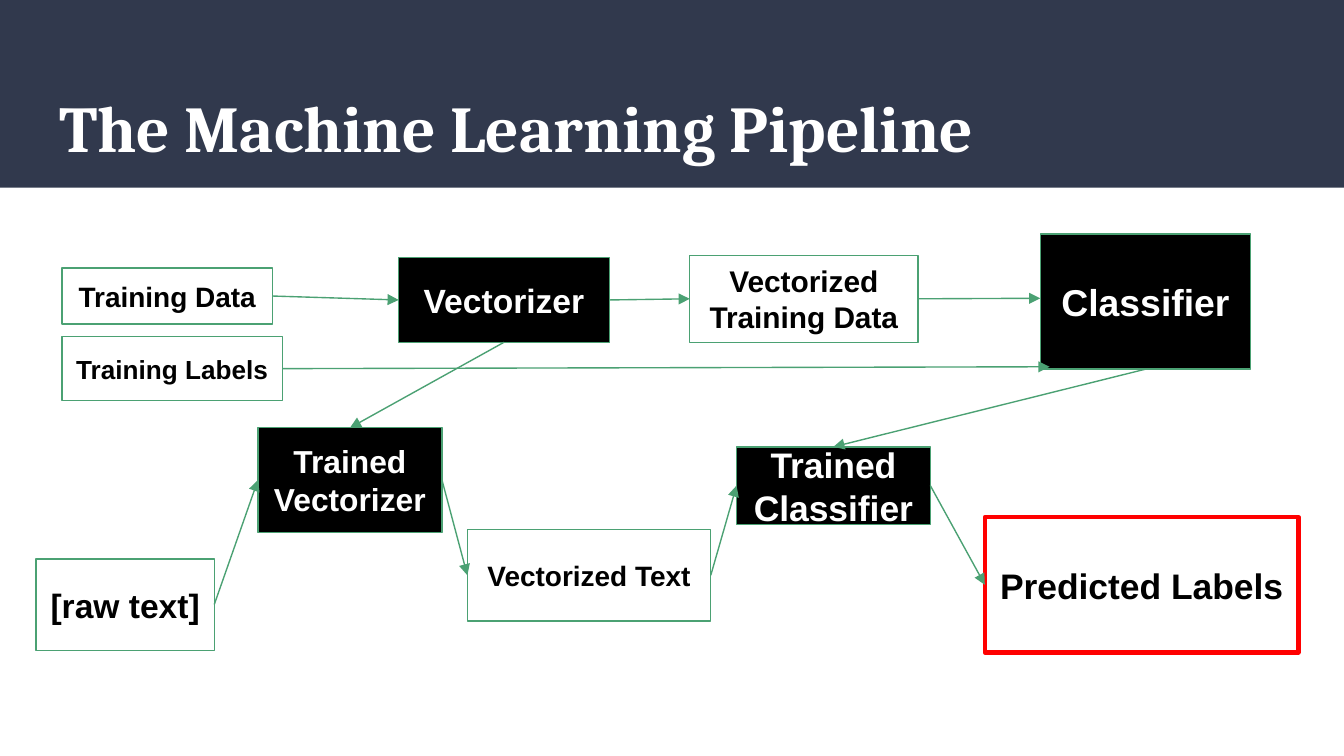
from pptx import Presentation
from pptx.dml.color import RGBColor
from pptx.enum.shapes import MSO_CONNECTOR, MSO_SHAPE
from pptx.enum.text import MSO_ANCHOR, MSO_AUTO_SIZE, PP_ALIGN
from pptx.oxml.ns import qn
from pptx.util import Pt
from lxml import etree

NAVY = RGBColor(0x31, 0x39, 0x4D)
GREEN = RGBColor(0x4B, 0xA1, 0x73)
RED = RGBColor(0xFF, 0x00, 0x00)
BLACK = RGBColor(0x00, 0x00, 0x00)
WHITE = RGBColor(0xFF, 0xFF, 0xFF)

TOP, LEFT, BOTTOM, RIGHT = range(4)


class PipelineSlide:
    box_font = "Arial"
    title_font = "Cambria"
    inset = Pt(7.2)

    def __init__(self, slide):
        self.slide = slide

    def format_text(self, frame, text, font, size, color, align, anchor):
        frame.text = text
        layout = dict(margin_left=self.inset, margin_right=self.inset,
                      margin_top=self.inset, margin_bottom=self.inset,
                      word_wrap=True, auto_size=MSO_AUTO_SIZE.NONE,
                      vertical_anchor=anchor)
        for name, value in layout.items():
            setattr(frame, name, value)
        paragraph = frame.paragraphs[0]
        paragraph.alignment = align
        for name, value in dict(name=font, size=Pt(size), bold=True).items():
            setattr(paragraph.font, name, value)
        paragraph.font.color.rgb = color

    def band(self, width, height):
        """Put the heading band behind everything else."""
        band = self.slide.shapes.add_shape(
            MSO_SHAPE.RECTANGLE, 0, 0, Pt(width), Pt(height))
        band.shadow.inherit = False
        band.fill.solid()
        band.fill.fore_color.rgb = NAVY
        band.line.fill.background()
        self.slide.shapes._spTree.insert(2, band._element)

    def title(self, text, left, top, width, height):
        title = self.slide.shapes.title
        place = dict(left=left, top=top, width=width, height=height)
        for name, value in place.items():
            setattr(title, name, Pt(value))
        self.format_text(title.text_frame, text, self.title_font, 35, WHITE,
                         PP_ALIGN.LEFT, MSO_ANCHOR.TOP)

    def box(self, text, size, left, top, width, height,
            filled=False, line=GREEN, weight=0.75):
        box = self.slide.shapes.add_shape(
            MSO_SHAPE.RECTANGLE, Pt(left), Pt(top), Pt(width), Pt(height))
        box.shadow.inherit = False
        if filled:
            box.fill.solid()
            box.fill.fore_color.rgb = BLACK
        else:
            box.fill.background()
        box.line.color.rgb = line
        box.line.width = Pt(weight)
        self.format_text(box.text_frame, text, self.box_font, size,
                         WHITE if filled else BLACK,
                         PP_ALIGN.CENTER, MSO_ANCHOR.MIDDLE)
        return box

    def arrow(self, source, source_side, target=None, target_side=None,
              end=(0, 0)):
        """Join two box sides, or run from a side to a free end point."""
        arrow = self.slide.shapes.add_connector(
            MSO_CONNECTOR.STRAIGHT, 0, 0, Pt(end[0]), Pt(end[1]))
        arrow.begin_connect(source, source_side)
        if target is not None:
            arrow.end_connect(target, target_side)
        arrow.line.color.rgb = GREEN
        arrow.line.width = Pt(0.75)
        etree.SubElement(arrow.line._get_or_add_ln(), qn("a:tailEnd"),
                         type="triangle")
        etree.SubElement(arrow._element.spPr, qn("a:effectLst"))


def main():
    deck = Presentation()
    deck.slide_width, deck.slide_height = Pt(720), Pt(405)
    page = PipelineSlide(deck.slides.add_slide(deck.slide_layouts[5]))

    page.band(720, 100.5)
    page.title("The Machine Learning Pipeline", 24.5, 39.6, 671, 49)

    training_data = page.box("Training Data", 15, 33.2, 143.5, 113, 30.2)
    training_labels = page.box("Training Labels", 14, 33.2, 180.3, 118.2, 34.4)
    vectorizer = page.box("Vectorizer", 18, 213.6, 138, 112.8, 45.4, filled=True)
    vectorized_data = page.box("Vectorized Training Data", 16,
                               369.5, 136.8, 122.4, 46.6)
    classifier = page.box("Classifier", 20, 557.3, 125.3, 112.8, 72.5, filled=True)
    raw_text = page.box("[raw text]", 18, 19.4, 299.4, 95.4, 49)
    trained_vectorizer = page.box("Trained Vectorizer", 17,
                                  138.2, 229.2, 98.6, 56, filled=True)
    vectorized_text = page.box("Vectorized Text", 15, 250.4, 283.6, 130.4, 49.2)
    trained_classifier = page.box("Trained Classifier", 19,
                                  394.6, 239.4, 103.8, 41.5, filled=True)
    predicted_labels = page.box("Predicted Labels", 19, 527.6, 277, 168, 72.6,
                                line=RED, weight=2.25)

    left_to_right = [
        (training_data, vectorizer),
        (vectorizer, vectorized_data),
        (raw_text, trained_vectorizer),
        (trained_vectorizer, vectorized_text),
        (vectorized_text, trained_classifier),
        (trained_classifier, predicted_labels),
    ]
    for source, target in left_to_right:
        page.arrow(source, RIGHT, target, LEFT)
    for untrained, trained in [(vectorizer, trained_vectorizer),
                               (classifier, trained_classifier)]:
        page.arrow(untrained, BOTTOM, trained, TOP)
    page.arrow(vectorized_data, RIGHT, end=(557.3, 159.8))
    page.arrow(training_labels, RIGHT, end=(562.3, 196.5))

    deck.save("out.pptx")


if __name__ == "__main__":
    main()
